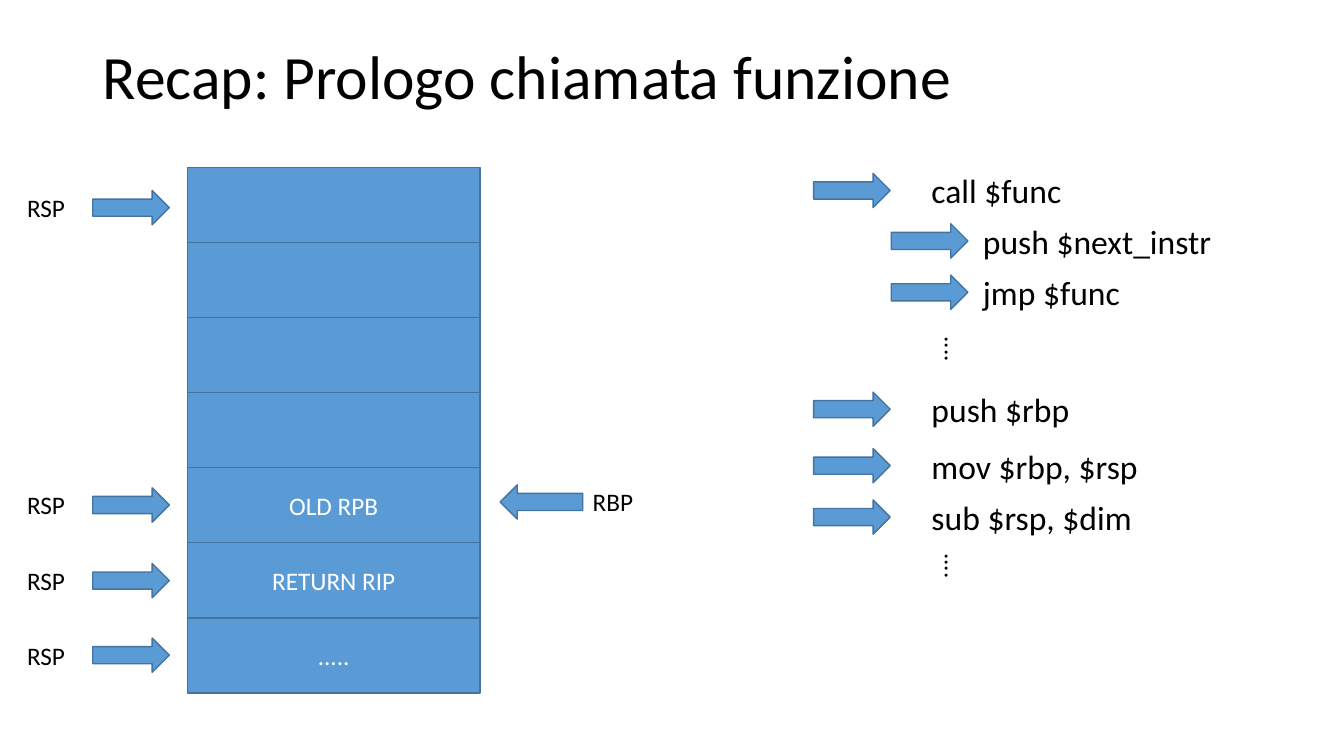
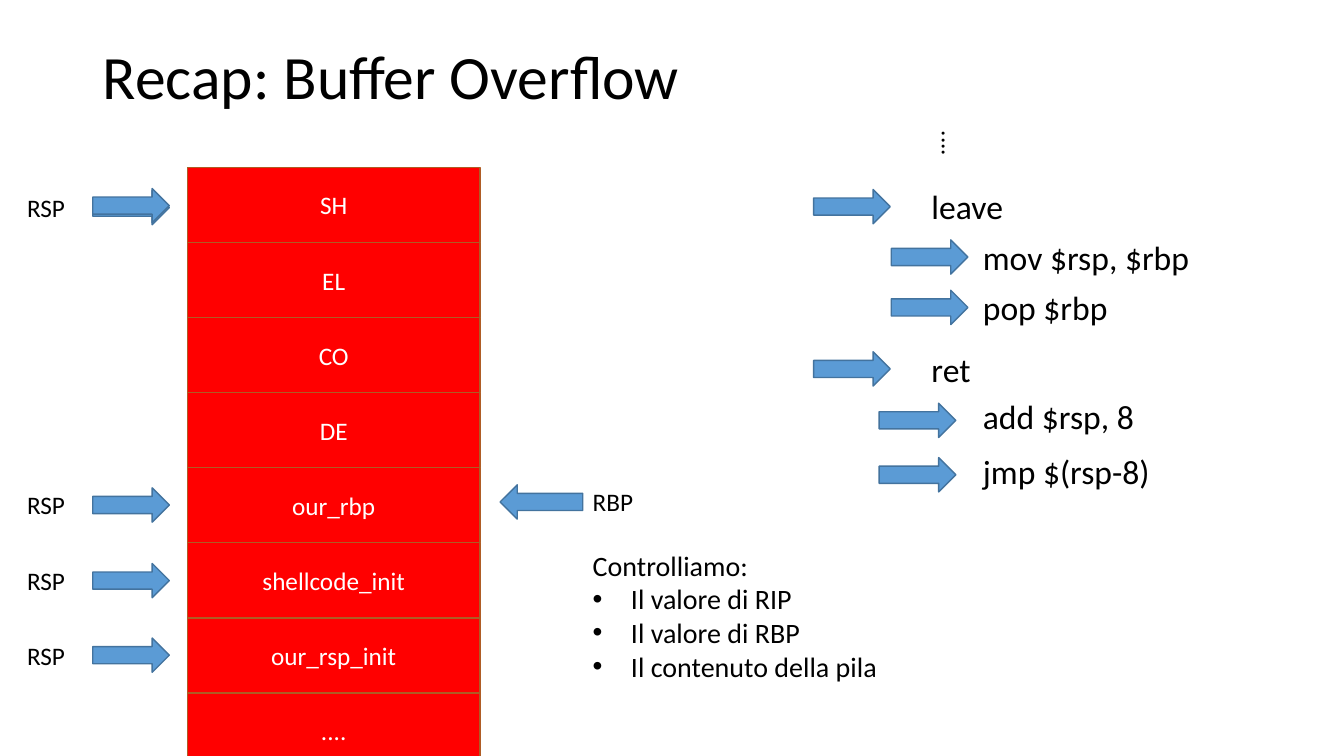
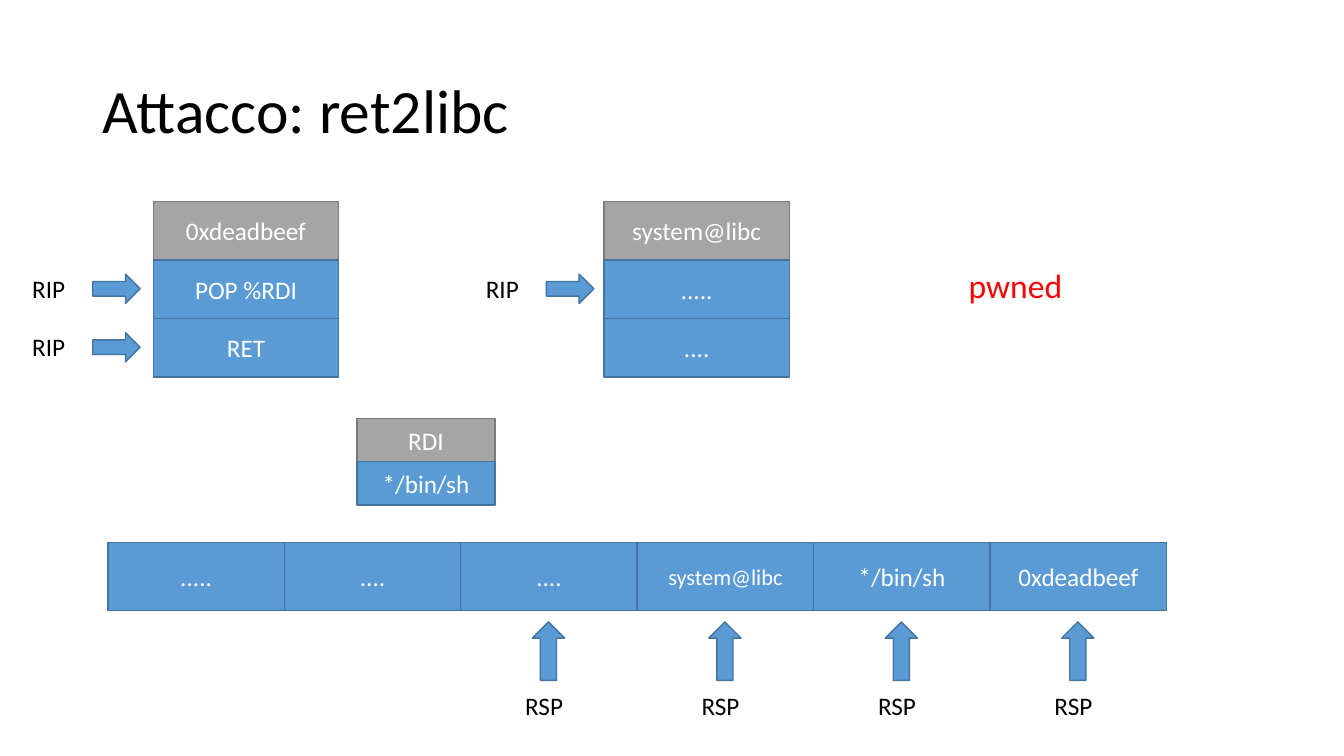
from lxml.etree import SubElement
from pptx import Presentation
from pptx.dml.color import RGBColor
from pptx.enum.shapes import MSO_SHAPE as Shape
from pptx.enum.text import MSO_ANCHOR as Anchor, MSO_AUTO_SIZE as Fit, PP_ALIGN as Align
from pptx.oxml.ns import qn
from pptx.util import Inches, Pt

BLACK = RGBColor(0x00, 0x00, 0x00)
WHITE = RGBColor(0xFF, 0xFF, 0xFF)
RED = RGBColor(0xFF, 0x00, 0x00)
BLUE = RGBColor(0x5B, 0x9B, 0xD5)
NAVY = RGBColor(0x43, 0x73, 0x9E)
GREY = RGBColor(0xA5, 0xA5, 0xA5)
SLATE = RGBColor(0x7A, 0x7A, 0x7A)
RUST = RGBColor(0xAF, 0x5C, 0x24)

# Fill and line pairs
PLAIN, HEAD, HOT = (BLUE, NAVY), (GREY, SLATE), (RED, RUST)

# Code levels: arrow left, text left, arrow drop below the text top
LEVELS = [(8.07, 9.14, 0.08), (8.84, 9.65, 0.08), (8.72, 9.65, 0.12)]

# Stack slides; code lines are (level, top, text), dots are (left, top)
STACKS = [
    {
        "title": "Recap: Prologo chiamata funzione",
        "cells": ["", "", "", "", "OLD RPB", "RETURN RIP", "....."],
        "look": PLAIN,
        "code": [
            (0, 1.64, "call $func"),
            (1, 2.14, "push $next_instr"),
            (1, 2.65, "jmp $func"),
            (0, 3.81, "push $rbp"),
            (0, 4.37, "mov $rbp, $rsp"),
            (0, 4.88, "sub $rsp, $dim"),
        ],
        "dots": [(9.17, 3.24), (9.17, 5.39)],
    },
    {
        "title": "Recap: Buffer Overflow",
        "cells": ["SH", "EL", "CO", "DE", "our_rbp", "shellcode_init",
                  "our_rsp_init", "...."],
        "look": HOT,
        "code": [
            (0, 1.8, "leave"),
            (1, 2.3, "mov $rsp, $rbp"),
            (1, 2.8, "pop $rbp"),
            (0, 3.41, "ret"),
            (2, 3.88, "add $rsp, 8"),
            (2, 4.42, "jmp $(rsp-8)"),
        ],
        "dots": [(9.14, 1.2)],
    },
]
RSP_TOPS = [1.86, 4.81, 5.56, 6.3]
NOTE = "Controlliamo:"
POINTS = ["Il valore di RIP", "Il valore di RBP", "Il contenuto della pila"]

# Attack slide: columns are (left, top, width, height, cells), heading first
COLUMNS = [
    (1.52, 2, 1.84, 0.58, ["0xdeadbeef", "POP %RDI", "RET"]),
    (5.99, 2, 1.84, 0.58, ["system@libc", ".....", "...."]),
    (3.54, 4.15, 1.37, 0.43, ["RDI", "*/bin/sh"]),
]
RIPS = [(0.22, 2.66), (0.22, 3.24), (4.72, 2.66)]
MEMORY = [(".....", 18), ("....", 18), ("....", 18), ("system@libc", 16),
          ("*/bin/sh", 18), ("0xdeadbeef", 18)]


def inch(*nums):
    return [Inches(n) for n in nums]


def style(font, color, size):
    for key, val in {"name": "Calibri", "size": Pt(size)}.items():
        setattr(font, key, val)
    font.color.rgb = color


def add_slide(deck, text, top):
    slide = deck.slides.add_slide(deck.slide_layouts[5])
    title = slide.shapes.title
    title.left, title.top, title.width, title.height = inch(0.92, top, 11.5, 1.45)
    frame = title.text_frame
    frame.text = text
    for key, val in {"auto_size": Fit.NONE, "vertical_anchor": Anchor.MIDDLE}.items():
        setattr(frame, key, val)
    para = frame.paragraphs[0]
    for key, val in {"alignment": Align.LEFT, "line_spacing": 0.9}.items():
        setattr(para, key, val)
    style(para.runs[0].font, BLACK, 44)
    return slide


def label(slide, text, box, size=18, color=BLACK):
    frame = slide.shapes.add_textbox(*inch(*box)).text_frame
    frame.word_wrap = True
    frame.text = text
    for para in frame.paragraphs:
        style(para.runs[0].font, color, size)
    return frame


def block(slide, kind, box, look=PLAIN, text="", size=18):
    shape = slide.shapes.add_shape(kind, *inch(*box))
    shape.shadow.inherit = False
    shape.fill.solid()
    shape.fill.fore_color.rgb, shape.line.color.rgb = look
    shape.line.width = Pt(1)
    if text:
        frame = shape.text_frame
        frame.text = text
        frame.vertical_anchor = Anchor.MIDDLE
        para = frame.paragraphs[0]
        para.alignment = Align.CENTER
        style(para.runs[0].font, WHITE, size)


def arrow(slide, left, top):
    block(slide, Shape.RIGHT_ARROW, (left, top, 0.76, 0.34))


def bullet(para):
    props = para._p.get_or_add_pPr()
    props.set("marL", str(Inches(0.38)))
    props.set("indent", str(-Inches(0.38)))
    SubElement(props, qn("a:buFont")).set("typeface", "Arial")
    SubElement(props, qn("a:buChar")).set("char", "•")


def stack_slide(deck, data):
    slide = add_slide(deck, data["title"], 0.06)
    # Stack cells
    for row, text in enumerate(data["cells"]):
        box = (1.86, 1.66 + row * 0.745, 2.9, 0.745)
        block(slide, Shape.RECTANGLE, box, data["look"], text)
    # Register pointers
    for top in RSP_TOPS:
        label(slide, "RSP", (0.17, top, 0.74, 0.4))
        arrow(slide, 0.92, top + 0.03)
    label(slide, "RBP", (5.78, 4.78, 0.74, 0.4))
    block(slide, Shape.LEFT_ARROW, (4.96, 4.81, 0.82, 0.34))
    # Code lines
    for level, top, text in data["code"]:
        left, start, drop = LEVELS[level]
        arrow(slide, left, top + drop)
        label(slide, text, (start, top, 3.28, 0.5), 24)
    for left, top in data["dots"]:
        frame = label(slide, "....", (left, top, 0.5, 0.47))
        frame._txBody.bodyPr.set("vert", "eaVert")
    return slide


def attack_slide(deck):
    slide = add_slide(deck, "Attacco: ret2libc", 0.4)
    # Gadget, function and register columns
    for left, top, wide, high, cells in COLUMNS:
        for row, text in enumerate(cells):
            box = (left, top + row * high, wide, high)
            block(slide, Shape.RECTANGLE, box, PLAIN if row else HEAD, text)
    for left, top in RIPS:
        label(slide, "RIP", (left, top, 0.69, 0.4))
        block(slide, Shape.RIGHT_ARROW, (left + 0.7, top + 0.06, 0.47, 0.29))
    # Memory row, with a pointer under all but the first two cells
    wide = 1.75
    for col, (text, size) in enumerate(MEMORY):
        left = 1.07 + col * wide
        block(slide, Shape.RECTANGLE, (left, 5.38, wide, 0.68), PLAIN, text, size)
        if col > 1:
            block(slide, Shape.UP_ARROW, (left + 0.71, 6.17, 0.32, 0.58))
            label(slide, "RSP", (left + 0.54, 6.8, 0.78, 0.4))
    label(slide, "pwned", (9.51, 2.58, 1.63, 0.5), 24, RED)


def main():
    deck = Presentation()
    deck.slide_width, deck.slide_height = inch(13.33, 7.5)
    slides = [stack_slide(deck, data) for data in STACKS]
    # Overflow slide: second top arrow and the list of what is controlled
    arrow(slides[1], 0.92, 1.87)
    note = label(slides[1], "\n".join([NOTE, *POINTS]), (5.78, 5.39, 4.92, 1.45), 20)
    for para in note.paragraphs[1:]:
        bullet(para)
    attack_slide(deck)
    deck.save("out.pptx")


if __name__ == "__main__":
    main()
